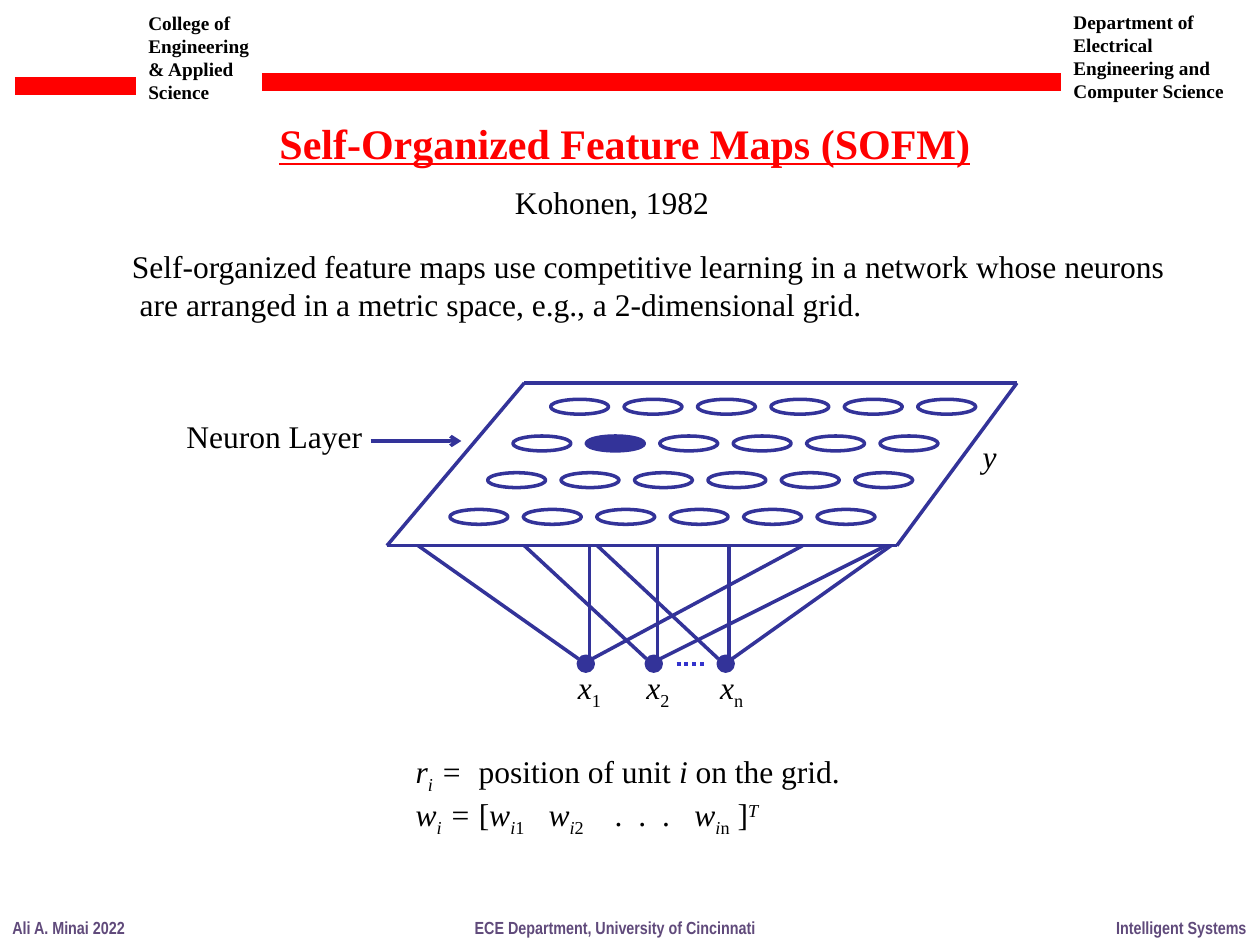
"""Build a slide that introduces self-organized feature maps."""
from lxml.etree import SubElement
from pptx import Presentation
from pptx.dml.color import RGBColor
from pptx.enum.dml import MSO_LINE
from pptx.enum.shapes import MSO_CONNECTOR, MSO_SHAPE
from pptx.enum.text import MSO_ANCHOR, MSO_AUTO_SIZE, PP_ALIGN
from pptx.oxml.ns import qn
from pptx.util import Cm, Pt

COLORS = {"red": "FF0000", "black": "000000", "purple": "604A7B",
          "navy": "333399", "blue": "3333CC", "white": "FFFFFF"}
SERIF = "Times New Roman"
HEADER = {"name": SERIF, "size": Pt(11), "bold": True, "color": "black"}
FOOTER = {"name": "Arial Narrow", "size": Pt(10), "bold": True, "color": "purple"}
BODY = {"name": SERIF, "size": Pt(18), "color": "black"}
TITLE = {"name": SERIF, "size": Pt(24), "bold": True, "underline": True, "color": "red"}

RUN_STYLES = {
    "plain": (False, None),
    "italic": (True, None),
    "sub": (False, "-25000"),
    "italic sub": (True, "-25000"),
    "italic super": (True, "30000"),
}

TITLE_BOX = (5.38, 2.24, 14.58, 1.27)
TITLE_TEXT = "Self-Organized Feature Maps (SOFM)"
HEADERS = [
    ((2.74, 0.1, 2.77, 2.13), ["College of Engineering & Applied", "Science"]),
    ((21.39, 0.08, 3.73, 2.13), ["Department of Electrical Engineering and Computer Science"]),
]
FOOTERS = [
    ((0, 18.36, 2.79, 0.69), ["Ali A. Minai 2022"]),
    ((9.32, 18.36, 6.22, 0.69), ["ECE Department, University of Cincinnati"]),
    ((22.25, 18.36, 3.15, 0.69), ["Intelligent Systems"]),
]
BODY_TEXTS = [
    ((10.13, 3.56, 4.47, 1.02), ["Kohonen, 1982"]),
    ((2.41, 4.85, 21.56, 1.8), [
        "Self-organized feature maps use competitive learning in a network whose neurons",
        " are arranged in a metric space, e.g., a 2-dimensional grid."]),
    ((3.51, 8.28, 4.09, 1.02), ["Neuron Layer"]),
    ((19.56, 8.69, 0.79, 1.02), [[("y", "italic")]]),
]
FORMULA_BOX = (8.13, 15.04, 9.14, 1.8)
FORMULAS = [
    [("r", "italic"), ("i", "italic sub"), (" =\t", "italic"),
     ("position of unit ", "plain"), ("i", "italic"), (" on the grid.", "plain")],
    [("w", "italic"), ("i", "italic sub"), (" = ", "italic"), ("[", "plain"),
     ("w", "italic"), ("i", "italic sub"), ("1\t", "sub"),
     ("w", "italic"), ("i", "italic sub"), ("2", "sub"), ("\t.\t.\t.\t", "plain"),
     ("w", "italic"), ("i", "italic sub"), ("n", "sub"),
     (" ]", "plain"), ("T", "italic super")],
]
FORMULA_TABS = [(1.27,), (2.68, 4.01, 4.49, 4.97, 5.62)]

HEADER_BARS = [((0.3, 1.73), (2.74, 1.73)), ((5.28, 1.65), (21.39, 1.65))]
PLANE_CORNERS = [(7.8, 11), (10.57, 7.72), (20.5, 7.72), (18.08, 11)]
PLANE_BOTTOM = 11
NEURON_ROW_LEFTS = [11.1, 10.34, 9.83, 9.07]
NEURON_TOP, NEURON_PITCH, ROW_PITCH = 8.05, 1.48, 0.74
NEURON_SIZE = (1.17, 0.3)
NEURONS_PER_ROW = 6
WINNER = (1, 1)
INPUT_TOP, INPUT_SIZE, LINK_TOP = 13.23, 0.3, 13.28
INPUTS = [  # subscript, left, label left, left target, right target
    ("1", 11.66, 11.4, 8.43, 16.18),
    ("2", 13.03, 12.78, 10.57, 17.86),
    ("n", 14.48, 14.27, 12.04, 17.96),
]


def rgb(color):
    return RGBColor.from_string(COLORS[color])


def fill_text(shape, box, paragraphs, formats, wrap=False, tabs=()):
    shape.left, shape.top, shape.width, shape.height = map(Cm, box)
    frame = shape.text_frame
    frame.word_wrap = wrap
    frame.auto_size = MSO_AUTO_SIZE.SHAPE_TO_FIT_TEXT
    frame.vertical_anchor = MSO_ANCHOR.TOP
    for index, runs in enumerate(paragraphs):
        paragraph = frame.add_paragraph() if index else frame.paragraphs[0]
        paragraph.alignment = PP_ALIGN.LEFT
        if tabs:
            tab_list = SubElement(paragraph._p.get_or_add_pPr(), qn("a:tabLst"))
            for position in tabs[index]:
                SubElement(tab_list, qn("a:tab"), pos=str(Cm(position)), algn="l")
        for text, style in [(runs, "plain")] if isinstance(runs, str) else runs:
            run = paragraph.add_run()
            run.text = text
            italic, baseline = RUN_STYLES[style]
            for name, value in {**formats, "italic": italic}.items():
                if name == "color":
                    run.font.color.rgb = rgb(value)
                else:
                    setattr(run.font, name, value)
            if baseline:
                run._r.get_or_add_rPr().set("baseline", baseline)


def add_text(slide, box, *content, **options):
    fill_text(slide.shapes.add_textbox(*map(Cm, box)), box, *content, **options)


def add_line(slide, start, end, color="navy", width=2, dash=None, arrow=False):
    line = slide.shapes.add_connector(MSO_CONNECTOR.STRAIGHT, *map(Cm, (*start, *end)))
    line.line.color.rgb = rgb(color)
    line.line.width = Pt(width)
    if dash:
        line.line.dash_style = dash
    if arrow:
        SubElement(line.line._get_or_add_ln(), qn("a:tailEnd"), type="arrow")
    SubElement(line._element.spPr, qn("a:effectLst"))


def add_ellipse(slide, left, top, width, height, fill):
    ellipse = slide.shapes.add_shape(MSO_SHAPE.OVAL, *map(Cm, (left, top, width, height)))
    ellipse.shadow.inherit = False
    ellipse.fill.solid()
    ellipse.fill.fore_color.rgb = rgb(fill)
    ellipse.line.color.rgb = rgb("navy")
    ellipse.line.width = Pt(2)


def add_neuron_layer(slide):
    for row, row_left in enumerate(NEURON_ROW_LEFTS):
        for column in range(NEURONS_PER_ROW):
            fill = "navy" if (row, column) == WINNER else "white"
            add_ellipse(slide, row_left + column * NEURON_PITCH,
                        NEURON_TOP + row * ROW_PITCH, *NEURON_SIZE, fill)
    for start, end in zip(PLANE_CORNERS, PLANE_CORNERS[1:] + PLANE_CORNERS[:1]):
        add_line(slide, start, end)
    add_line(slide, (7.47, 8.89), (9.3, 8.89), arrow=True)


def add_inputs(slide):
    for subscript, left, label_left, left_target, right_target in INPUTS:
        add_ellipse(slide, left, INPUT_TOP, INPUT_SIZE, INPUT_SIZE, "navy")
        middle = left + 0.22
        for start, target in ((left + 0.28, right_target), (middle, middle), (left, left_target)):
            add_line(slide, (start, LINK_TOP), (target, PLANE_BOTTOM))
        add_text(slide, (label_left, 13.34, 1.02, 1.02),
                 [[("x", "italic"), (subscript, "sub")]], BODY)
    add_line(slide, (13.64, 13.39), (14.27, 13.39), "blue", 2.25, MSO_LINE.ROUND_DOT)


def main():
    presentation = Presentation()
    presentation.slide_width, presentation.slide_height = Cm(25.4), Cm(19.05)
    slide = presentation.slides.add_slide(presentation.slide_layouts[5])
    fill_text(slide.shapes.title, TITLE_BOX, [TITLE_TEXT], TITLE)
    for start, end in HEADER_BARS:
        add_line(slide, start, end, "red", 10)
    for texts, formats, wrap in ((HEADERS, HEADER, True), (FOOTERS, FOOTER, False),
                                 (BODY_TEXTS, BODY, False)):
        for box, paragraphs in texts:
            add_text(slide, box, paragraphs, formats, wrap=wrap)
    add_neuron_layer(slide)
    add_inputs(slide)
    add_text(slide, FORMULA_BOX, FORMULAS, BODY, tabs=FORMULA_TABS)
    presentation.save("out.pptx")


if __name__ == "__main__":
    main()
